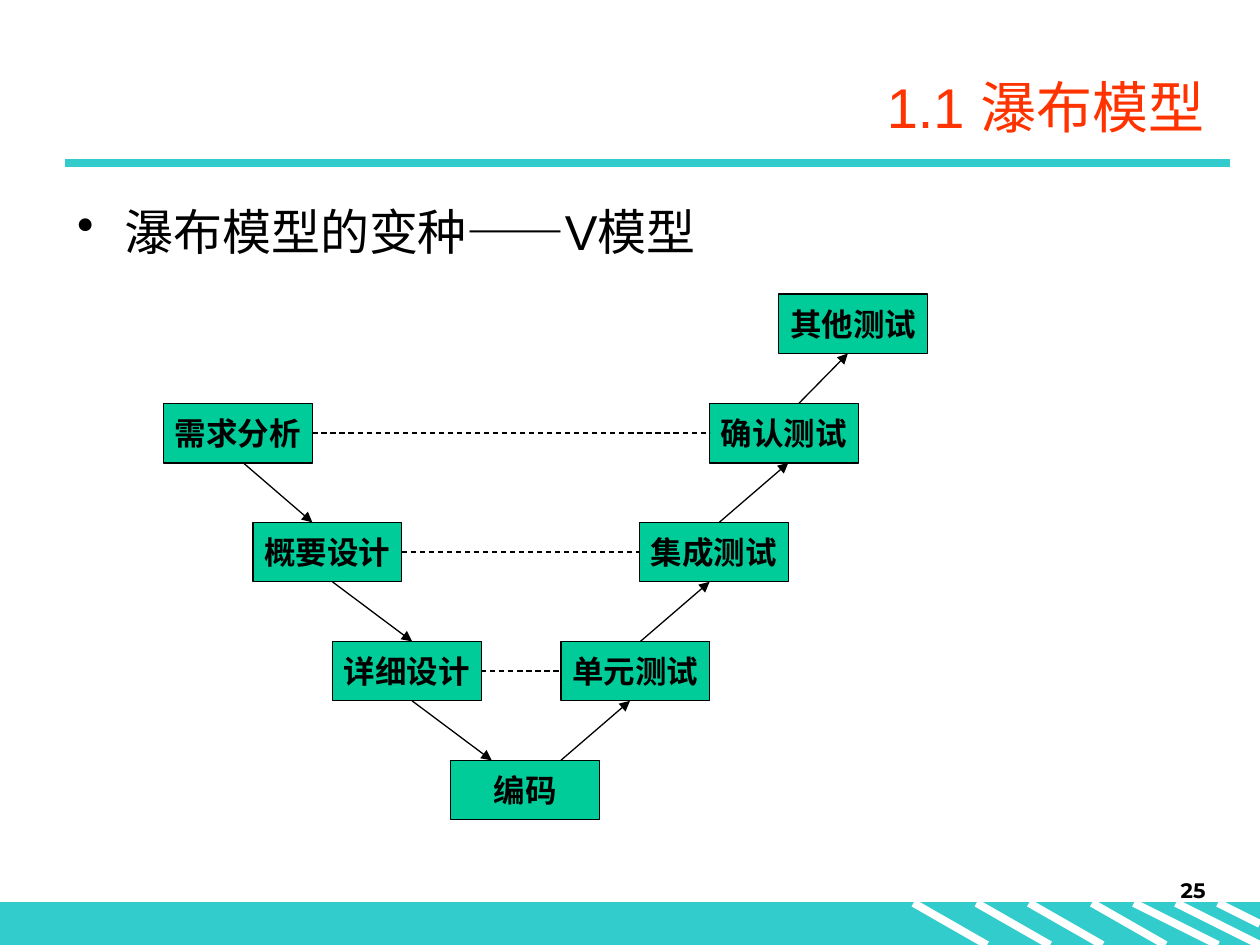
from lxml import etree
from pptx import Presentation
from pptx.dml.color import RGBColor
from pptx.enum import dml, shapes, text
from pptx.oxml import ns
from pptx.util import Pt

TEAL, GREEN, RED, BLACK, WHITE = "33CCCC", "00CC99", "FF3300", "000000", "FFFFFF"
WIDE, HIGH = 720, 540
BAND, RULE = 516, 93
BOX_W, BOX_H = 85, 34

STEPS = [
    ("需求分析", 93.5, 230.5),
    ("概要设计", 144.5, 298.5),
    ("详细设计", 190, 366.5),
    ("编码", 257.5, 434.5),
    ("单元测试", 320.5, 366.5),
    ("集成测试", 365.5, 298.5),
    ("确认测试", 405.5, 230.5),
    ("其他测试", 445, 168),
]
FLOWS = [(139, 178.5), (190, 235.5), (235.5, 281), (320.5, 360),
         (366, 405.5), (411, 450.5), (456.5, 484.5)]
PAIRS = [(2, 4), (1, 5), (0, 6)]
STRIPES = [(558, 600, 540), (522, 564, 540), (588, 630, 540), (672, 720, 540),
           (648, 696, 540), (696, 720, 528), (624, 666, 540)]

TITLE = {"size": Pt(32), "name": "Arial", "bold": False}
BODY = {"size": Pt(28), "name": "Arial", "bold": False}
LABEL = {"size": Pt(18), "name": "Arial", "bold": True}
PAGE = {"size": Pt(12), "name": "Montserrat", "bold": True}


def paint(part, color):
    if hasattr(part, "solid"):
        part.solid()
        part = part.fore_color
    else:
        part = part.color
    part.rgb = RGBColor.from_string(color)


def write(shape, words, look, color, align, anchor, wrap=True):
    frame = shape.text_frame
    frame.word_wrap = wrap
    frame.vertical_anchor = anchor
    para = frame.paragraphs[0]
    para.text = words
    para.alignment = align
    for key, value in look.items():
        setattr(para.font, key, value)
    paint(para.font, color)
    return para


def block(slide, kind, left, top, wide, high, fill, edge):
    shape = slide.shapes.add_shape(kind, Pt(left), Pt(top), Pt(wide), Pt(high))
    shape.shadow.inherit = False
    shape.line.width = Pt(0.75)
    paint(shape.fill, fill)
    paint(shape.line, edge)
    return shape


def stroke(slide, start, end, color, width, dash=False, arrow=False):
    line = slide.shapes.add_connector(
        shapes.MSO_CONNECTOR.STRAIGHT, *(Pt(v) for v in (*start, *end)))
    line.line.width = Pt(width)
    paint(line.line, color)
    if dash:
        line.line.dash_style = dml.MSO_LINE.DASH
    if arrow:
        etree.SubElement(line.line._get_or_add_ln(), ns.qn("a:tailEnd"), type="triangle")
    etree.SubElement(line._element.spPr, ns.qn("a:effectLst"))


def frame(slide):
    block(slide, shapes.MSO_SHAPE.RECTANGLE, 0, BAND, WIDE, HIGH - BAND, TEAL, TEAL)
    for left, right, low in STRIPES:
        stroke(slide, (left, BAND), (right, low), WHITE, 4.5)
    stroke(slide, (37, RULE), (703, RULE), TEAL, 4.5)
    page = slide.shapes.add_textbox(Pt(546), Pt(498), Pt(150), Pt(36))
    write(page, "25", PAGE, BLACK, text.PP_ALIGN.RIGHT, text.MSO_ANCHOR.TOP)


def heads(slide):
    title = slide.shapes.title
    for key, value in zip(("left", "top", "width", "height"), (99, 32, 596.5, 57)):
        setattr(title, key, Pt(value))
    write(title, "1.1 瀑布模型", TITLE, RED, text.PP_ALIGN.RIGHT, text.MSO_ANCHOR.MIDDLE)
    body = slide.shapes.add_textbox(Pt(37), Pt(111.5), Pt(624), Pt(53))
    para = write(body, "瀑布模型的变种——V模型", {}, BLACK,
                 text.PP_ALIGN.LEFT, text.MSO_ANCHOR.TOP)
    props = para._p.get_or_add_pPr()
    props.set("marL", str(Pt(27)))
    props.set("indent", str(-Pt(27)))
    bullet = etree.Element(ns.qn("a:buChar"), char="•")
    props.insert(0, bullet)
    for key, value in BODY.items():
        setattr(para.font, key, value)


def model(slide):
    for words, left, top in STEPS:
        box = block(slide, shapes.MSO_SHAPE.FLOWCHART_PROCESS,
                    left, top, BOX_W, BOX_H, GREEN, BLACK)
        write(box, words, LABEL, BLACK, text.PP_ALIGN.CENTER,
              text.MSO_ANCHOR.MIDDLE, wrap=False)
    for (start, end), step, after in zip(FLOWS, STEPS, STEPS[1:]):
        down = after[2] > step[2]
        leave = step[2] + BOX_H * down
        reach = after[2] + BOX_H * (not down)
        stroke(slide, (start, leave), (end, reach), BLACK, 0.75, arrow=True)
    for one, two in PAIRS:
        mid = STEPS[one][2] + BOX_H / 2
        stroke(slide, (STEPS[one][1] + BOX_W, mid), (STEPS[two][1], mid),
               BLACK, 0.75, dash=True)


def main():
    deck = Presentation()
    deck.slide_width, deck.slide_height = Pt(WIDE), Pt(HIGH)
    slide = deck.slides.add_slide(deck.slide_layouts[5])
    frame(slide)
    heads(slide)
    model(slide)
    deck.save("out.pptx")


if __name__ == "__main__":
    main()
